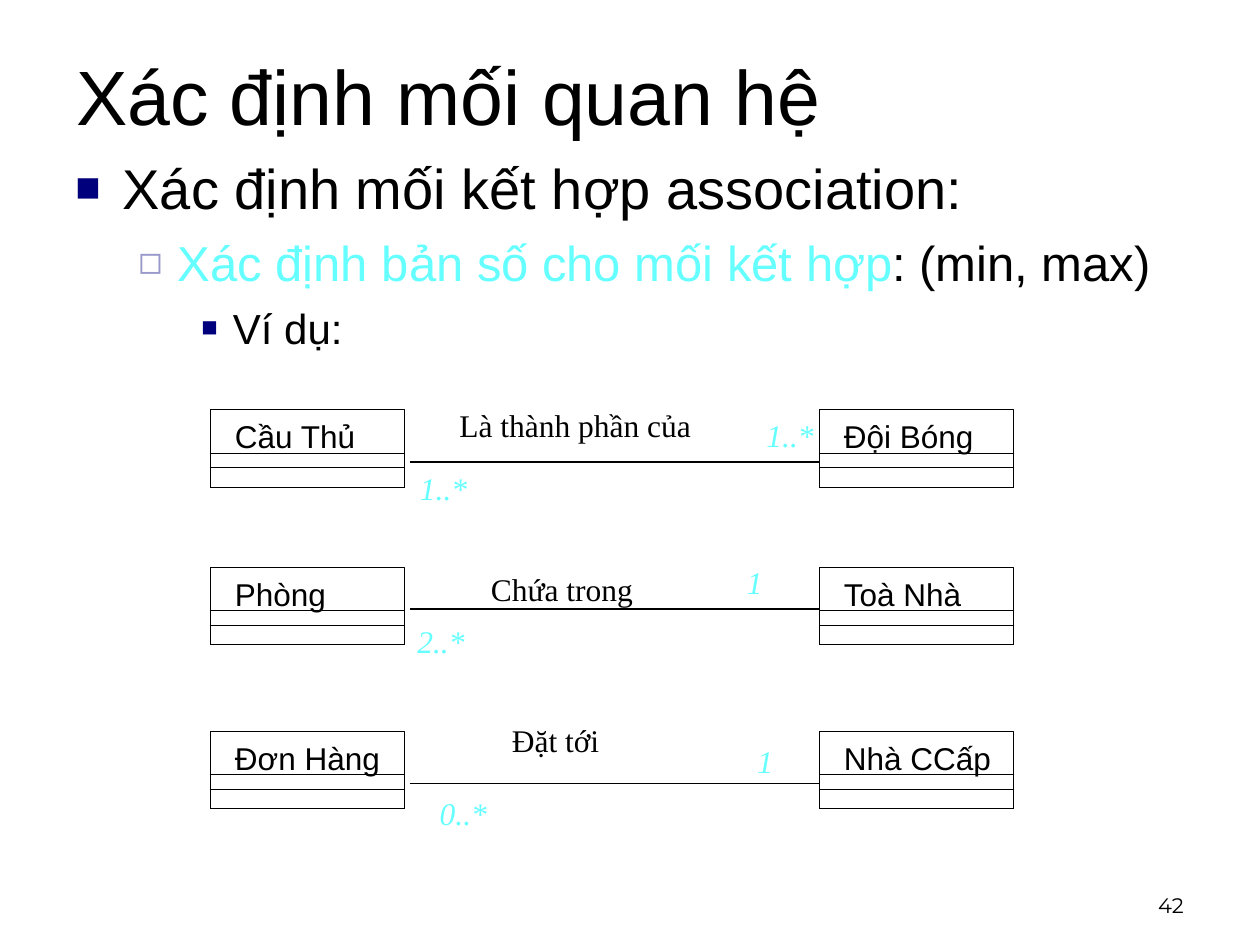
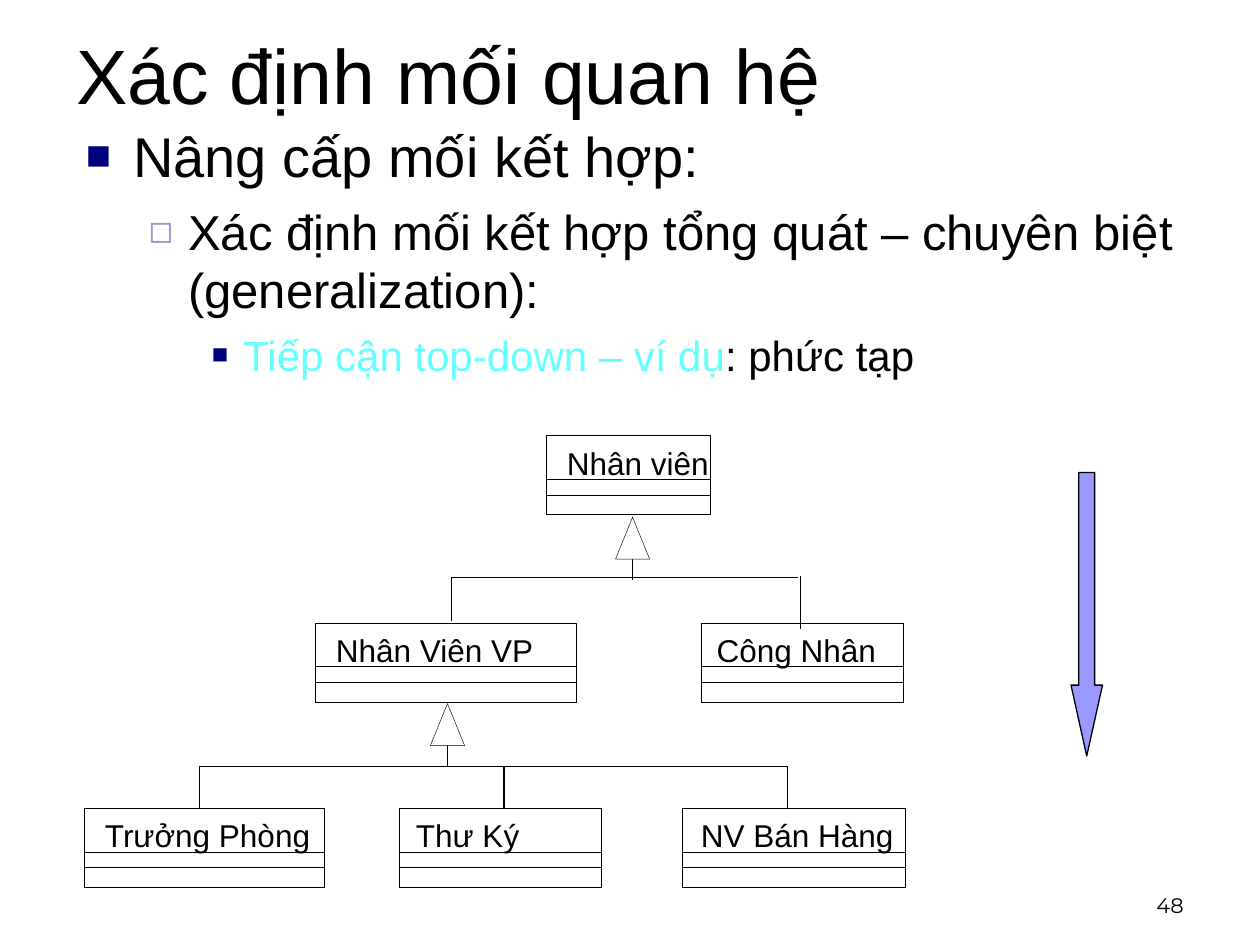
from lxml import etree
from pptx import Presentation
from pptx.dml.color import RGBColor
from pptx.enum.shapes import MSO_CONNECTOR, MSO_SHAPE
from pptx.enum.text import MSO_ANCHOR, MSO_AUTO_SIZE, PP_ALIGN
from pptx.oxml.ns import qn
from pptx.util import Pt

PX = 9525
RECT = MSO_SHAPE.RECTANGLE
ARROW = MSO_SHAPE.DOWN_ARROW
LINE = MSO_CONNECTOR.STRAIGHT
MIDDLE = MSO_ANCHOR.MIDDLE
BOTTOM = MSO_ANCHOR.BOTTOM
RIGHT = PP_ALIGN.RIGHT
GROW = MSO_AUTO_SIZE.SHAPE_TO_FIT_TEXT
SANS, SERIF, FOOT = "Arial", "Times New Roman", "Montserrat"
BLACK, WHITE, CYAN, LILAC = "000000", "FFFFFF", "66FFFF", "9999FF"
TITLE = "Xác định mối quan hệ"

LEVELS = [
    (32, 36, 36, 0, "■", "00007D", 75),
    (28, 78, 30, 7, "◻", "9999CC", 80),
    (24, 120, 24, 6, "■", "00007D", 65),
]

PAGES = [
    {
        "number": "42", "title": 0, "body": (48, 112, 864, 408),
        "points": [
            ("", "Xác định mối kết hợp association:"),
            ("Xác định bản số cho mối kết hợp", ": (min, max)"),
            ("", "Ví dụ:"),
        ],
        "height": 59, "weight": 0.2,
        "classes": [
            (160, 312, 148, 19, 96, "Cầu Thủ"),
            (624, 312, 148, 19, 103, "Đội Bóng"),
            (160, 432, 148, 19, 74, "Phòng"),
            (624, 432, 148, 19, 96, "Toà Nhà"),
            (160, 557, 148, 19, 115, "Đơn Hàng"),
            (624, 557, 148, 19, 117, "Nhà CCấp"),
        ],
        "lines": [(0.75, 312, y, 624, y) for y in (352, 464, 597)],
    },
    {
        "number": "48", "title": -16, "body": (56, 88, 864, 475),
        "points": [
            ("", "Nâng cấp mối kết hợp:"),
            ("", "Xác định mối kết hợp tổng quát – chuyên biệt (generalization):"),
            ("Tiếp cận top-down – ví dụ", ": phức tạp"),
        ],
        "height": 60, "weight": 0.25,
        "classes": [
            (416, 332, 125, 16, 113, "Nhân viên"),
            (240, 475, 199, 16, 155, "Nhân Viên VP"),
            (534, 475, 154, 12, 126, "Công Nhân"),
            (64, 616, 183, 16, 161, "Trưởng Phòng"),
            (304, 616, 154, 13, 83, "Thư Ký"),
            (520, 616, 170, 14, 151, "NV Bán Hàng"),
        ],
        "lines": [
            (0.25, 482, 442, 482, 394),
            (0.25, 344, 440, 608, 440),
            (0.25, 344, 473, 344, 440),
            (0.25, 610, 479, 610, 439),
            (0.75, 341, 568, 341, 584),
            (0.75, 152, 584, 600, 584),
        ] + [(0.75, x, 584, x, 616) for x in (152, 384, 600)],
    },
]

LABELS = [
    (340, 304, 233, "Là thành phần của"),
    (364, 429, 147, "Chứa trong"),
    (380, 544, 95, "Đặt tới"),
]
COUNTS = [
    (574, 312, 57, "1..*"), (310, 352, 57, "1..*"),
    (559, 424, 33, "1"), (308, 469, 57, "2..*"),
    (567, 560, 33, "1"), (325, 600, 57, "0..*"),
]


def write(slide, box, text, size, face=SANS, color=BLACK, wrap=True, pad=(10, 5)):
    frame = slide.shapes.add_textbox(*[n * PX for n in box]).text_frame
    frame.word_wrap = wrap
    if not wrap:
        frame.auto_size = GROW
    frame.margin_left = frame.margin_right = pad[0] * PX
    frame.margin_top = frame.margin_bottom = pad[1] * PX
    para = frame.paragraphs[0]
    para.text = text
    para.font.size = Pt(size)
    para.font.name = face
    para.font.color.rgb = RGBColor.from_string(color)
    return frame


def style(shape, weight, fill=None):
    shape.shadow.inherit = False
    shape.line.color.rgb = RGBColor.from_string(BLACK)
    shape.line.width = Pt(weight)
    if fill:
        shape.fill.solid()
        shape.fill.fore_color.rgb = RGBColor.from_string(fill)
    else:
        shape.fill.background()


deck = Presentation()
deck.slide_width, deck.slide_height = 960 * PX, 720 * PX
slides = []

for page in PAGES:
    slide = deck.slides.add_slide(deck.slide_layouts[6])
    slides.append(slide)
    title = write(slide, (48, page["title"], 864, 144), TITLE, 44)
    title.vertical_anchor = MIDDLE
    foot = write(slide, (688, 656, 224, 48), page["number"], 12, FOOT)
    foot.vertical_anchor = BOTTOM
    foot.paragraphs[0].alignment = RIGHT

    body = slide.shapes.add_textbox(*[n * PX for n in page["body"]]).text_frame
    body.word_wrap = True
    for level, (key, rest) in enumerate(page["points"]):
        size, left, hang, gap, mark, tint, scale = LEVELS[level]
        para = body.add_paragraph() if level else body.paragraphs[0]
        para.level = level
        props = para._p.get_or_add_pPr()
        props.set("marL", str(left * PX))
        props.set("indent", str(-hang * PX))
        paint = etree.SubElement(props, qn("a:buClr"))
        etree.SubElement(paint, qn("a:srgbClr"), val=tint)
        etree.SubElement(props, qn("a:buSzPct"), val=str(scale * 1000))
        etree.SubElement(props, qn("a:buFont"), typeface=SANS)
        etree.SubElement(props, qn("a:buChar"), char=mark)
        if gap:
            para.space_before = Pt(gap)
        para.font.size = Pt(size)
        para.font.name = SANS
        para.font.color.rgb = RGBColor.from_string(BLACK)
        if key:
            run = para.add_run()
            run.text = key
            run.font.color.rgb = RGBColor.from_string(CYAN)
        para.add_run().text = rest

    high = page["height"]
    for x, y, wide, inset, span, name in page["classes"]:
        for top in (0, 33, high - 15):
            box = (x, y + top, wide, high - top)
            style(slide.shapes.add_shape(RECT, *[n * PX for n in box]), page["weight"])
        write(slide, (x + inset, y + 6, span, 29), name, 18, wrap=False, pad=(0, 0))

    for weight, *ends in page["lines"]:
        line = slide.shapes.add_connector(LINE, *[n * PX for n in ends])
        line.line.color.rgb = RGBColor.from_string(BLACK)
        line.line.width = Pt(weight)
        etree.SubElement(line._element.spPr, qn("a:effectLst"))

links, tree = slides
for x, y, wide, text in LABELS:
    write(links, (x, y, wide, 38), text, 18, SERIF, wrap=False)
for x, y, wide, text in COUNTS:
    count = write(links, (x, y, wide, 38), text, 18, SERIF, CYAN, False)
    count.paragraphs[0].font.italic = True

for x, y in ((482, 394), (341, 536)):
    head = tree.shapes.build_freeform(x, y, scale=PX)
    head.add_line_segments([(x + 13, y + 32), (x - 13, y + 32)])
    style(head.convert_to_shape(), 0.25, WHITE)

arrow = tree.shapes.add_shape(ARROW, *[n * PX for n in (816, 360, 24, 216)])
arrow.adjustments[0] = 0.5
arrow.adjustments[1] = 2.25
style(arrow, 0.75, LILAC)

deck.save("out.pptx")
